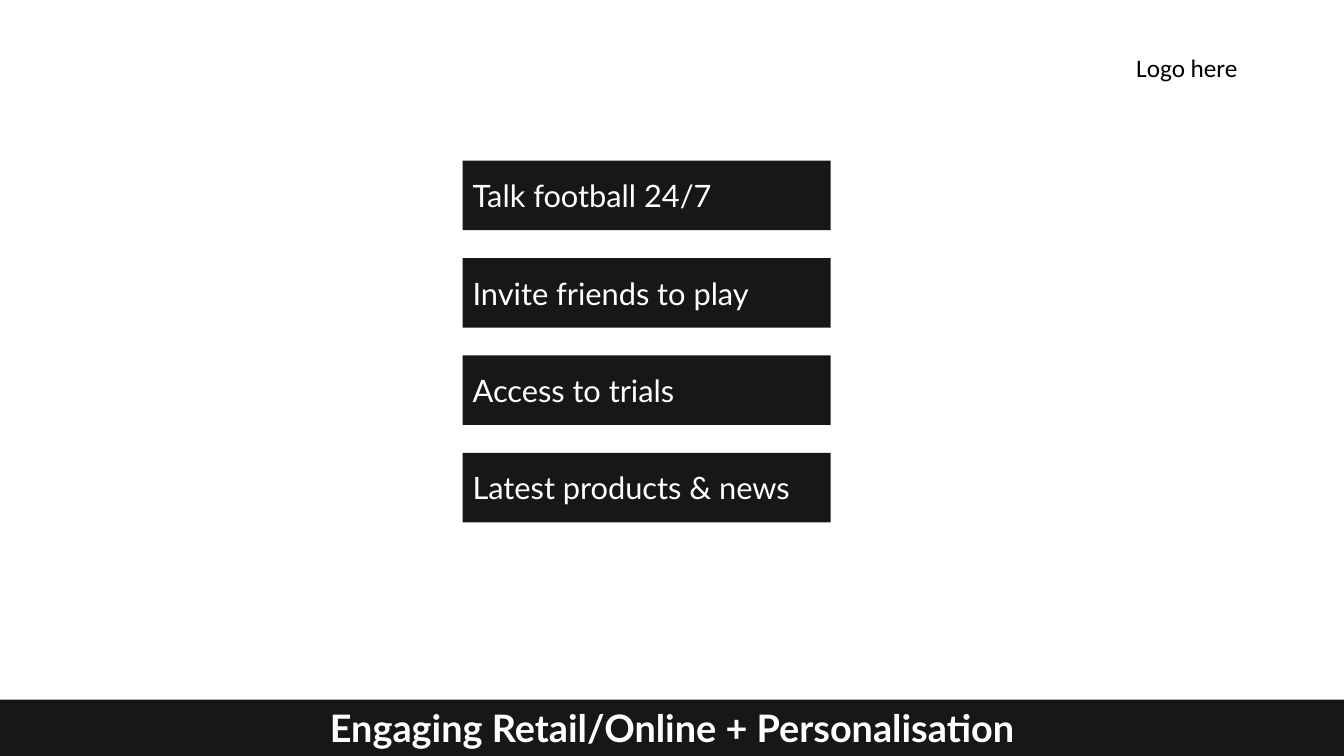
"""Build a slide of four engagement messages above a full-width title bar."""
from dataclasses import dataclass

from pptx import Presentation
from pptx.dml.color import RGBColor
from pptx.enum.shapes import MSO_SHAPE
from pptx.enum.text import MSO_ANCHOR as Anchor, MSO_AUTO_SIZE as AutoSize, PP_ALIGN as Align
from pptx.shapes.autoshape import Shape
from pptx.slide import Slide
from pptx.util import Inches, Pt

WIDTH, HEIGHT = Inches(13.33), Inches(7.5)


@dataclass(frozen=True)
class Theme:
    dark: RGBColor = RGBColor(0x18, 0x17, 0x17)
    light: RGBColor = RGBColor(0xFF, 0xFF, 0xFF)
    black: RGBColor = RGBColor(0x00, 0x00, 0x00)
    main_font: str = "Lato"
    label_font: str = "Calibri"
    title_size: int = 27
    message_size: int = 22
    label_size: int = 18


@dataclass(frozen=True)
class Box:
    left: float
    top: float
    width: float
    height: float

    def emu(self) -> tuple[int, int, int, int]:
        return (int(WIDTH * self.left / 100), int(HEIGHT * self.top / 100),
                int(WIDTH * self.width / 100), int(HEIGHT * self.height / 100))


@dataclass(frozen=True)
class Style:
    font: str
    size: int
    color: RGBColor
    bold: bool = False
    align: Align = Align.LEFT
    anchor: Anchor = Anchor.TOP


THEME = Theme()
TITLE_STYLE = Style(THEME.main_font, THEME.title_size, THEME.light, True, Align.CENTER)
MESSAGE_STYLE = Style(THEME.main_font, THEME.message_size, THEME.light, anchor=Anchor.MIDDLE)
LABEL_STYLE = Style(THEME.label_font, THEME.label_size, THEME.black)

TITLE_BOX = Box(0, 92.53, 100, 7.47)
LABEL_BOX = Box(83.8, 6.27, 16.2, 5.33)
FIRST_MESSAGE = Box(34.43, 21.25, 27.38, 9.2)
MESSAGE_PITCH = 12.88
MESSAGES = ("Talk football 24/7", "Invite friends to play",
            "Access to trials", "Latest products & news")


def write(sp: Shape, text: str, style: Style) -> None:
    tf = sp.text_frame
    tf.word_wrap = True
    tf.auto_size = AutoSize.NONE
    tf.vertical_anchor = style.anchor
    tf.margin_left = tf.margin_right = Inches(0.1)
    tf.margin_top = tf.margin_bottom = Inches(0.05)
    p = tf.paragraphs[0]
    p.alignment = style.align
    r = p.add_run()
    r.text = text
    r.font.name = style.font
    r.font.size = Pt(style.size)
    r.font.bold = style.bold
    r.font.color.rgb = style.color


def paint(sp: Shape) -> None:
    sp.fill.solid()
    sp.fill.fore_color.rgb = THEME.dark
    sp.line.fill.background()


def add_title(s: Slide, text: str) -> None:
    sp = s.shapes.title
    sp.left, sp.top, sp.width, sp.height = TITLE_BOX.emu()
    paint(sp)
    write(sp, text, TITLE_STYLE)


def add_label(s: Slide, text: str) -> None:
    write(s.shapes.add_textbox(*LABEL_BOX.emu()), text, LABEL_STYLE)


def add_message(s: Slide, row: int, text: str) -> None:
    first = FIRST_MESSAGE
    box = Box(first.left, first.top + row * MESSAGE_PITCH, first.width, first.height)
    sp = s.shapes.add_shape(MSO_SHAPE.RECTANGLE, *box.emu())
    sp.shadow.inherit = False
    paint(sp)
    write(sp, text, MESSAGE_STYLE)


def main() -> None:
    prs = Presentation()
    prs.slide_width, prs.slide_height = WIDTH, HEIGHT
    s = prs.slides.add_slide(prs.slide_layouts.get_by_name("Title Only"))
    add_label(s, "Logo here")
    add_title(s, "Engaging Retail/Online + Personalisation")
    for row, text in enumerate(MESSAGES):
        add_message(s, row, text)
    prs.save("out.pptx")


if __name__ == "__main__":
    main()
